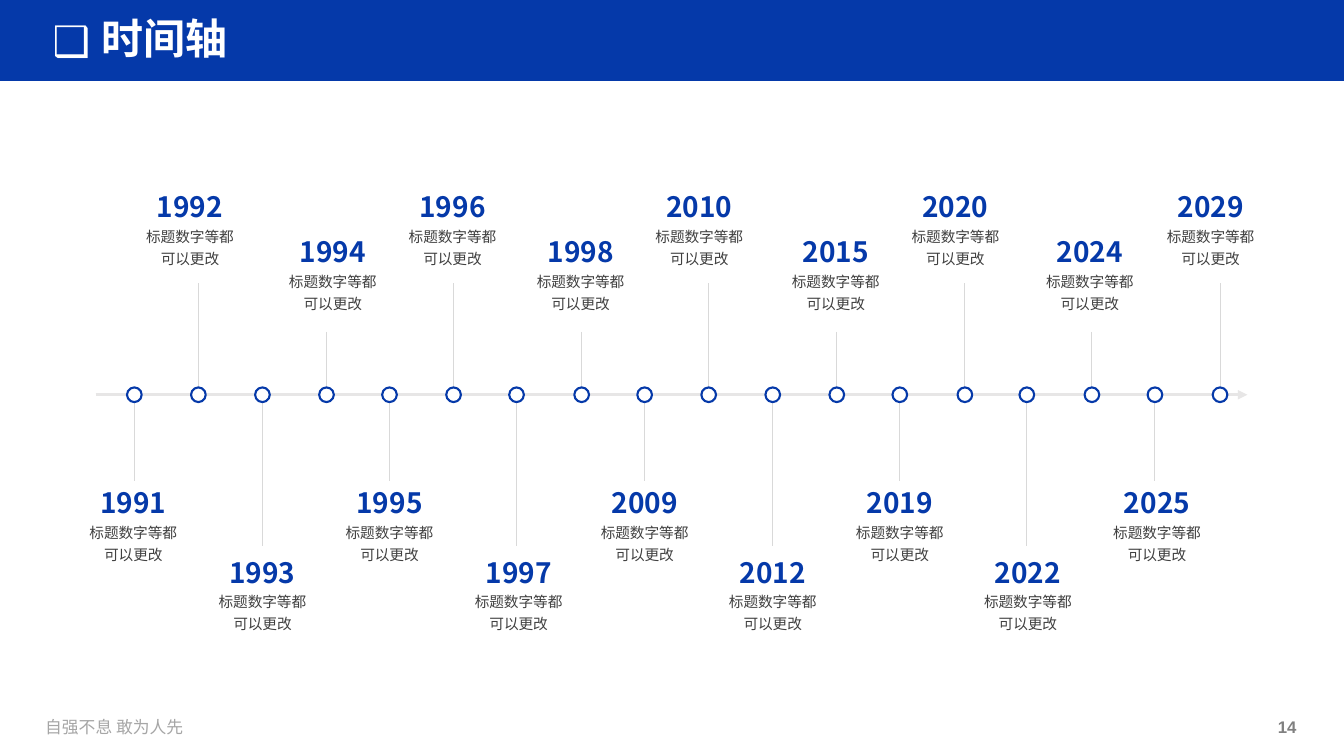
from dataclasses import dataclass

from lxml import etree
from pptx import Presentation, util as u
from pptx.dml.color import RGBColor
from pptx.enum import shapes, text
from pptx.oxml.ns import qn

PX = 9525  # EMU per px, 96 px to the inch


@dataclass(frozen=True)
class Theme:
    blue: str = "0539A9"
    white: str = "FFFFFF"
    axis: str = "E7E6E6"
    stem: str = "D9D9D9"
    ink: str = "404040"
    foot: str = "A6A6A6"
    page: str = "808080"
    font: str = "Noto Sans CJK SC"
    latin: str = "Arial"
    head: float = 30
    year: float = 20
    note: float = 10.5
    small: float = 12


T = Theme()
AXIS = 376
DOT = 14
NOTE = ("标题数字等都", "可以更改")

# Each side: first dot, distance to last dot, (stem end, label top) in turn,
# and (year, sideways shift of the label)
SIDES = (
    (128, 972, ((458, 458), (520, 524)),
     ((1991, -1), (1993, 0), (1995, 0), (1997, 2), (2009, 0),
      (2012, 0), (2019, 0), (2022, 1), (2025, 2))),
    (189, 973, ((270, 176), (316, 219)),
     ((1992, -8), (1994, 6), (1996, -1), (1998, -1), (2010, -9),
      (2015, -1), (2020, -9), (2024, -2), (2029, -9))),
)


def px(*vals):
    return [u.Emu(round(v * PX)) for v in vals]


def rgb(code):
    return RGBColor.from_string(code)


def write(para, words, size, color, bold=False, font=T.font,
          align=text.PP_ALIGN.LEFT, before=0):
    """Add one formatted run to a paragraph."""
    para.alignment = align
    para.space_before = u.Pt(before)
    run = para.add_run()
    run.text = words
    run.font.size = u.Pt(size)
    run.font.bold = bold
    run.font.name = font
    run.font.color.rgb = rgb(color)
    props = run._r.get_or_add_rPr()
    etree.SubElement(props, qn("a:ea")).set("typeface", font)


def add_box(slide, x, y, w, h, inset=None):
    frame = slide.shapes.add_textbox(*px(x, y, w, h)).text_frame
    frame.word_wrap = False
    frame.auto_size = text.MSO_AUTO_SIZE.SHAPE_TO_FIT_TEXT
    if inset is not None:
        set_inset(frame, inset)
    return frame


def set_inset(frame, inset):
    frame.margin_left = frame.margin_right = inset
    frame.margin_top = frame.margin_bottom = inset


def add_line(slide, x1, y1, x2, y2, color, width, arrow=False):
    line = slide.shapes.add_connector(
        shapes.MSO_CONNECTOR.STRAIGHT, *px(x1, y1, x2, y2))
    line.line.color.rgb = rgb(color)
    line.line.width = u.Pt(width)
    if arrow:
        stroke = line.line._get_or_add_ln()
        etree.SubElement(stroke, qn("a:tailEnd")).set("type", "triangle")
    etree.SubElement(line.element.spPr, qn("a:effectLst"))


def add_form(slide, kind, x, y, w, h, fill, edge=None):
    form = slide.shapes.add_shape(kind, *px(x, y, w, h))
    form.shadow.inherit = False
    form.fill.solid()
    form.fill.fore_color.rgb = rgb(fill)
    if edge:
        form.line.color.rgb = rgb(edge)
        form.line.width = u.Pt(1.5)
    else:
        form.line.fill.background()
    return form


def add_title(slide, words):
    title = slide.shapes.title
    title.left, title.top, title.width, title.height = px(50, 17, 1179, 43)
    frame = title.text_frame
    set_inset(frame, 0)
    frame.word_wrap = True
    frame.vertical_anchor = text.MSO_ANCHOR.MIDDLE
    frame.auto_size = text.MSO_AUTO_SIZE.SHAPE_TO_FIT_TEXT
    para = frame.paragraphs[0]
    para.line_spacing = 0.9
    props = para._p.get_or_add_pPr()
    props.set("marL", str(47 * PX))
    props.set("indent", str(-47 * PX))
    write(para, words, T.head, T.white, bold=True)
    etree.SubElement(props, qn("a:buFont")).set("typeface", T.font)
    etree.SubElement(props, qn("a:buChar")).set("char", "❑")


def add_label(slide, mid, top, year):
    frame = add_box(slide, mid - 54, top, 108, 85)
    mid_way = text.PP_ALIGN.CENTER
    write(frame.paragraphs[0], str(year), T.year, T.blue, bold=True,
          align=mid_way)
    for words in NOTE:
        write(frame.add_paragraph(), words, T.note, T.ink,
              align=mid_way, before=3)


def add_event(slide, x, end, top, year, shift):
    add_line(slide, x, end, x, AXIS, T.stem, 0.75)
    add_form(slide, shapes.MSO_SHAPE.OVAL, x - DOT / 2, AXIS - DOT / 2,
             DOT, DOT, T.white, T.blue)
    add_label(slide, x + shift, top, year)


def main():
    deck = Presentation()
    deck.slide_width, deck.slide_height = px(1280, 720)
    slide = deck.slides.add_slide(deck.slide_layouts[5])

    # Title band, placed behind the title
    band = add_form(slide, shapes.MSO_SHAPE.RECTANGLE, 0, 0, 1280, 77, T.blue)
    slide.shapes.title.element.addprevious(band.element)
    add_title(slide, "时间轴")

    # Footer
    foot = add_box(slide, 43, 683, 132, 19, inset=0)
    write(foot.paragraphs[0], "自强不息 敢为人先", T.small, T.foot)
    page = add_box(slide, 1216, 683, 20, 19, inset=0)
    page.vertical_anchor = text.MSO_ANCHOR.MIDDLE
    write(page.paragraphs[0], "14", T.small, T.page, bold=True,
          font=T.latin, align=text.PP_ALIGN.CENTER)

    # Time axis and its events
    add_line(slide, 91, AXIS, 1188, AXIS, T.axis, 2.25, arrow=True)
    for start, span, levels, events in SIDES:
        for i, (year, shift) in enumerate(events):
            x = start + round(span * i / (len(events) - 1))
            end, top = levels[i % 2]
            add_event(slide, x, end, top, year, shift)

    deck.save("out.pptx")


if __name__ == "__main__":
    main()
